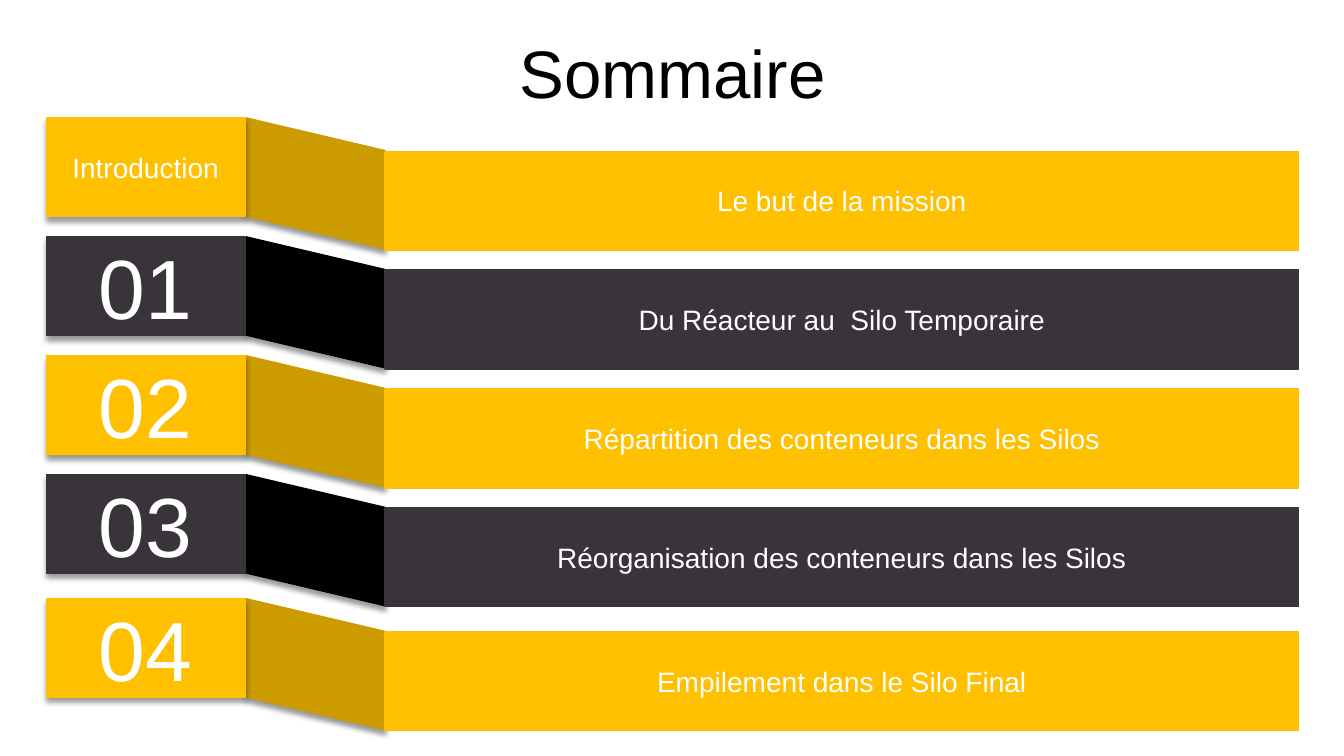
from lxml import etree
from pptx import Presentation
from pptx.dml.color import RGBColor
from pptx.enum.shapes import MSO_SHAPE as Preset
from pptx.enum.text import MSO_ANCHOR as Anchor, MSO_AUTO_SIZE as AutoSize, PP_ALIGN as Align
from pptx.oxml.ns import qn
from pptx.util import Pt

PX = 9144  # EMU per px, 100 px to the inch
FONT = "Arial"
YELLOW, DARK_YELLOW = "FFC000", "CC9B00"
GREY, BLACK, WHITE = "38343A", "000000", "FFFFFF"

# top, tab label, label size, banner text
CHAPTERS = [
    (117, "Introduction", 20, "Le but de la mission"),
    (235, "01", 60, "Du Réacteur au  Silo Temporaire"),
    (353, "02", 60, "Répartition des conteneurs dans les Silos"),
    (471, "03", 60, "Réorganisation des conteneurs dans les Silos"),
    (594, "04", 60, "Empilement dans le Silo Final"),
]


def px(*lengths):
    return [length * PX for length in lengths]


def rgb(color):
    return RGBColor.from_string(color)


def write(frame, text, size, color):
    paragraph = frame.paragraphs[0]
    paragraph.text = text
    paragraph.alignment = Align.CENTER
    paragraph.font.name = FONT
    paragraph.font.size = Pt(size)
    paragraph.font.color.rgb = rgb(color)


def drop_shadow(shape):
    """Cast a soft 40 % black shadow straight down."""
    effects = shape.element.spPr.find(qn("a:effectLst"))
    shadow = etree.SubElement(
        effects, qn("a:outerShdw"), blurRad=str(Pt(4)), dist=str(Pt(3)),
        dir="5400000", algn="ctr", rotWithShape="0")
    color = etree.SubElement(shadow, qn("a:srgbClr"), val=BLACK)
    etree.SubElement(color, qn("a:alpha"), val="40000")


def add_panel(row, preset, box, color, shadowed=False):
    panel = row.shapes.add_shape(preset, *px(*box))
    panel.fill.solid()
    panel.fill.fore_color.rgb = rgb(color)
    panel.line.color.rgb = rgb(color)
    panel.line.width = Pt(1)
    panel.shadow.inherit = False
    if shadowed:
        drop_shadow(panel)
    return panel


def label(panel, text, size):
    frame = panel.text_frame
    frame.word_wrap = True
    frame.vertical_anchor = Anchor.MIDDLE
    write(frame, text, size, WHITE)


def add_chapter(slide, top, number, number_size, text, color, fold_color):
    """Draw a tab, the folded strip beside it and the long banner."""
    row = slide.shapes.add_group_shape()
    fold = add_panel(row, Preset.PARALLELOGRAM, (248, top - 4, 130, 138), fold_color, True)
    fold.rotation = 90
    banner = add_panel(row, Preset.RECTANGLE, (382, top + 33, 906, 98), color)
    label(banner, text, 20)
    tab = add_panel(row, Preset.RECTANGLE, (46, top, 197, 98), color, True)
    label(tab, number, number_size)


def set_title(slide, text):
    title = slide.shapes.title
    title.left, title.top, title.width, title.height = px(470, 26, 394, 91)
    frame = title.text_frame
    frame.auto_size = AutoSize.NONE
    frame.vertical_anchor = Anchor.TOP
    write(frame, text, 48, BLACK)


def main():
    deck = Presentation()
    deck.slide_width, deck.slide_height = px(1333, 750)
    slide = deck.slides.add_slide(deck.slide_layouts[5])
    set_title(slide, "Sommaire")
    schemes = [(YELLOW, DARK_YELLOW), (GREY, BLACK)]
    for index, chapter in enumerate(CHAPTERS):
        add_chapter(slide, *chapter, *schemes[index % 2])
    deck.save("out.pptx")


if __name__ == "__main__":
    main()
